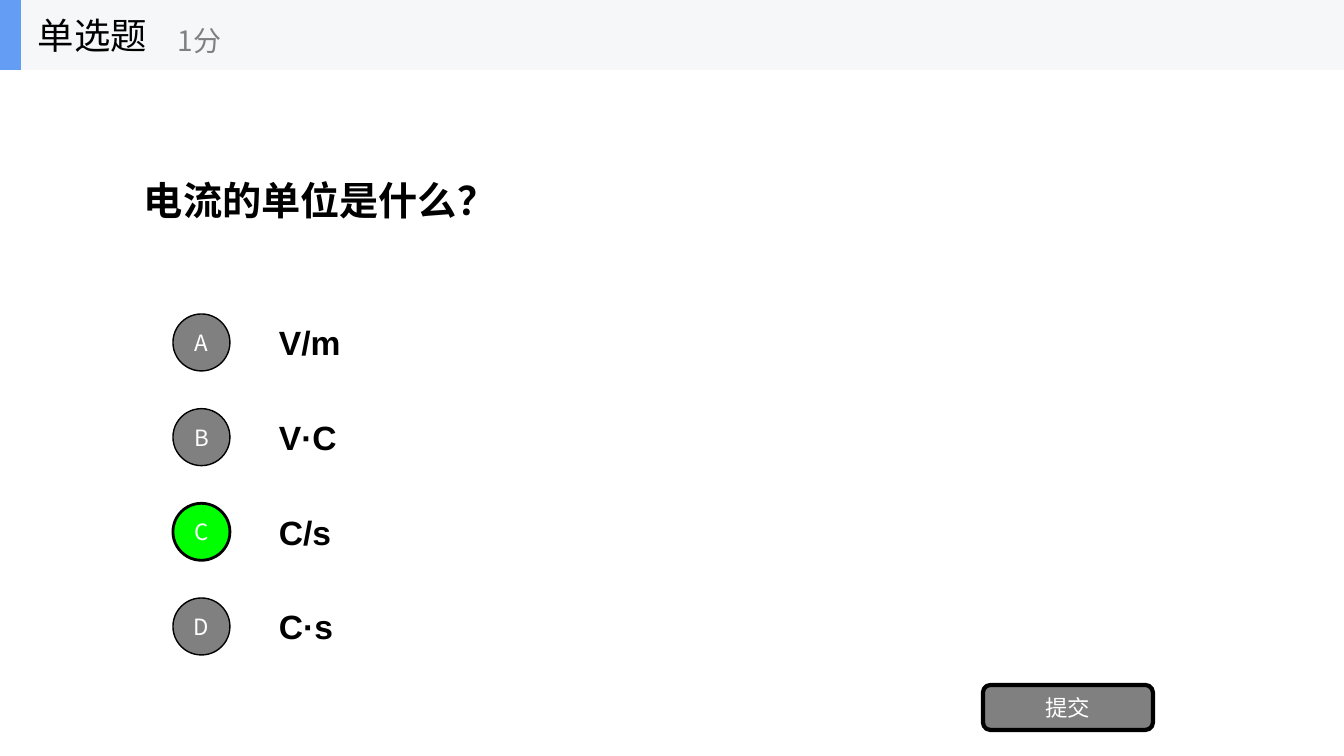
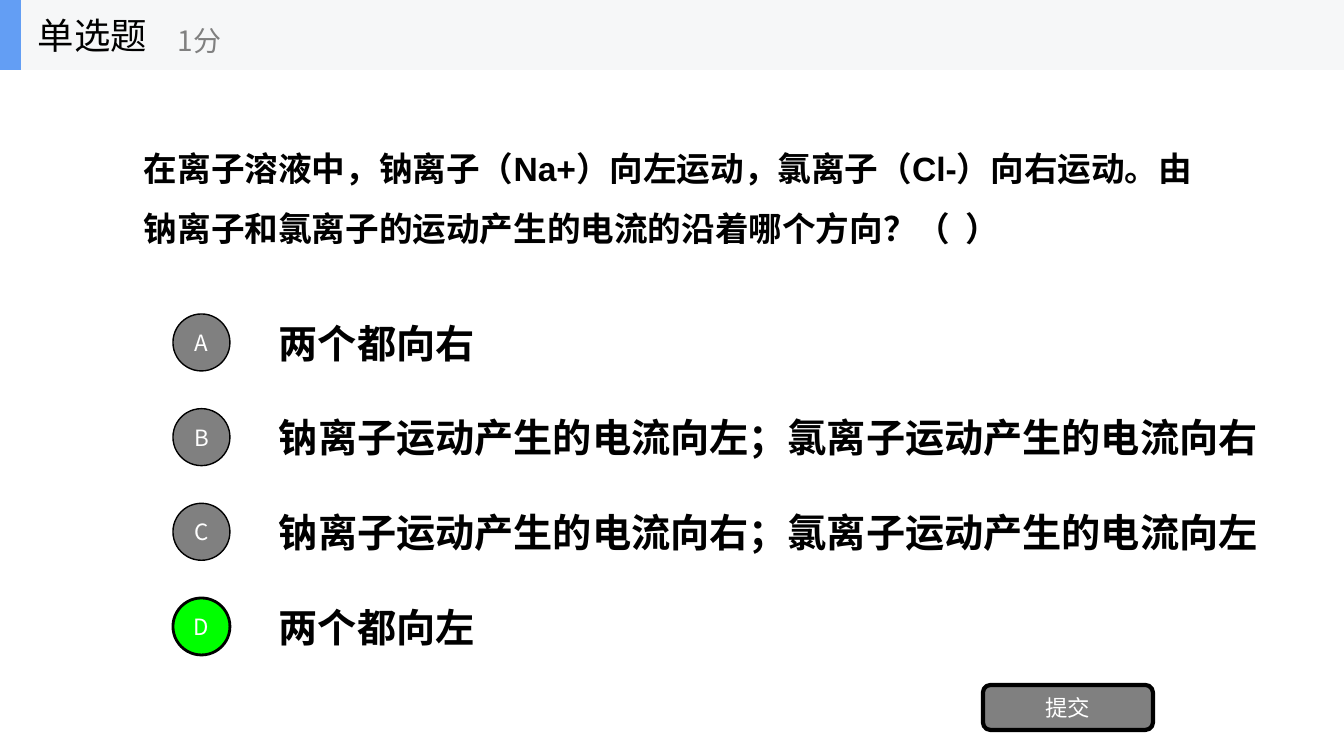
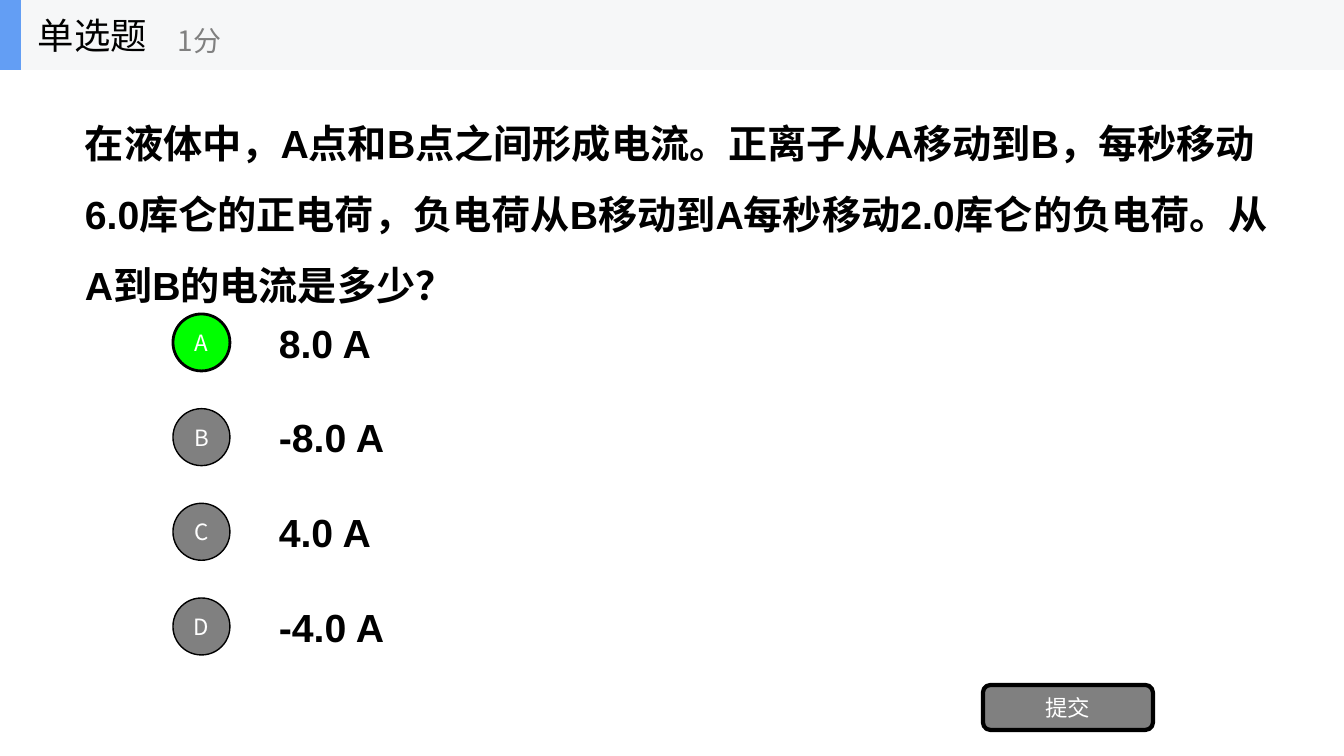
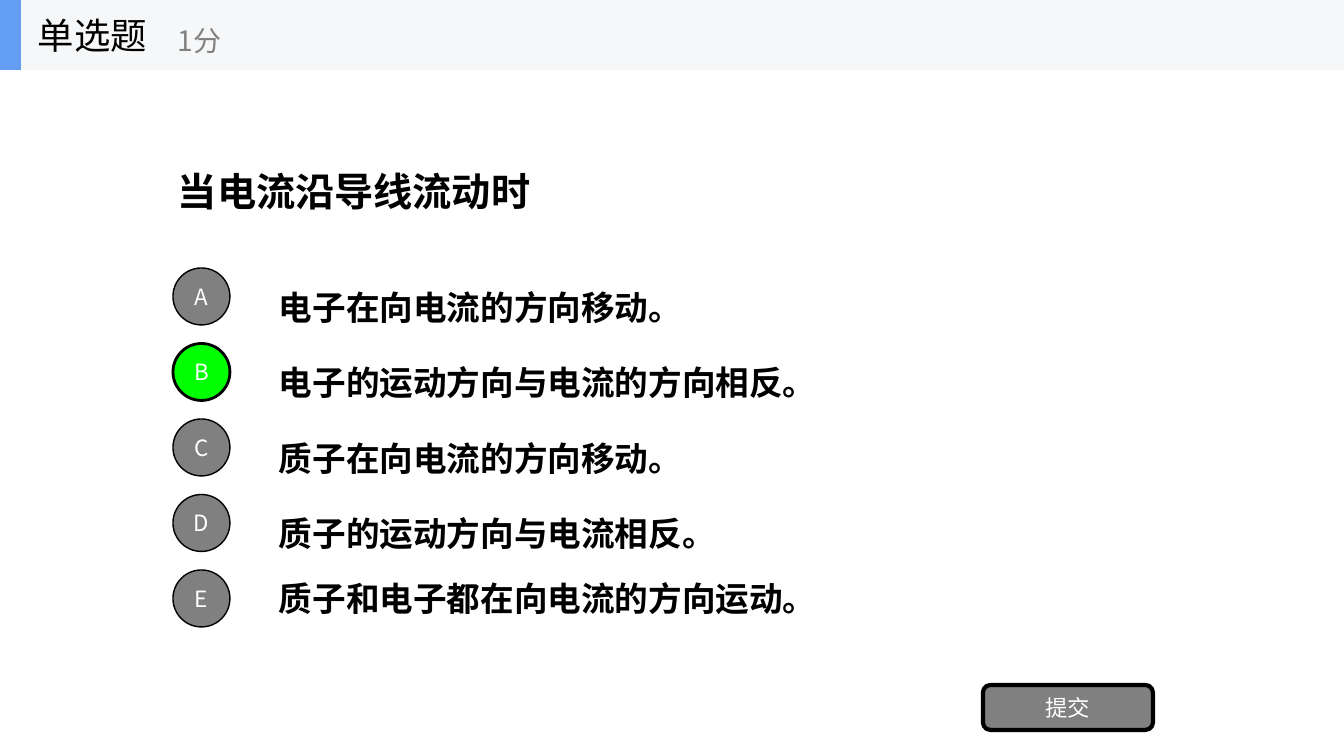
from dataclasses import dataclass

from lxml.etree import SubElement
from pptx import Presentation
from pptx.dml.color import RGBColor
from pptx.enum.shapes import MSO_SHAPE
from pptx.enum.text import MSO_ANCHOR, PP_ALIGN
from pptx.oxml.ns import qn
from pptx.util import Inches, Pt

PX = Inches(1) / 100.8
PAGE_WIDTH, PAGE_HEIGHT = 1344, 756


@dataclass(frozen=True)
class Theme:
    ink: RGBColor = RGBColor.from_string("000000")
    white: RGBColor = RGBColor.from_string("FFFFFF")
    gray: RGBColor = RGBColor.from_string("808080")
    correct: RGBColor = RGBColor.from_string("00FF00")
    band: RGBColor = RGBColor.from_string("F6F7F8")
    accent: RGBColor = RGBColor.from_string("639EF4")
    body_font: str = "Arial"
    label_font: str = "Noto Sans CJK SC"
    large: int = 28
    medium: int = 24
    heading: int = 26
    score: int = 20
    label: int = 16


THEME = Theme()


def add_block(shapes, kind, box, fill, line_width=0):
    """Add a filled preset shape; box is left, top, width, height in px."""
    block = shapes.add_shape(kind, *(round(value * PX) for value in box))
    block.shadow.inherit = False
    block.fill.solid()
    block.fill.fore_color.rgb = fill
    if line_width:
        block.line.color.rgb = THEME.ink
        block.line.width = Pt(line_width)
    else:
        block.line.fill.background()
    return block


def write(target, text, size, color, font=THEME.label_font, bold=False,
          spacing=None, centered=False):
    frame = target.text_frame
    frame.word_wrap = True
    frame.vertical_anchor = MSO_ANCHOR.MIDDLE
    if centered:
        frame.margin_left = frame.margin_right = 0
        frame.margin_top = frame.margin_bottom = 0
    frame.text = text
    para = frame.paragraphs[0]
    para.alignment = PP_ALIGN.CENTER if centered else PP_ALIGN.LEFT
    if spacing:
        para.line_spacing = spacing
    span = para.runs[0]
    span.font.name = font
    span.font.size = Pt(size)
    span.font.bold = bold
    span.font.color.rgb = color
    east_asian = SubElement(span.font._element, qn("a:ea"))
    east_asian.set("typeface", THEME.label_font)


# Each option is its text, box width in px and line spacing.
NORMAL = 941
QUESTIONS = [
    {
        "text": "电流的单位是什么？",
        "box": (134, 70, 1076, 236), "size": THEME.large,
        "options": [(text, NORMAL, None) for text in ("V/m", "V·C", "C/s", "C·s")],
        "option_size": THEME.medium, "rows": (307, 591), "answer": "C",
    },
    {
        "text": "在离子溶液中，钠离子（Na+）向左运动，氯离子（Cl-）向右运动。"
                "由钠离子和氯离子的运动产生的电流的沿着哪个方向？（  ）",
        "box": (134, 70, 1076, 236), "size": THEME.medium,
        "options": [
            ("两个都向右", NORMAL, None),
            ("钠离子运动产生的电流向左；氯离子运动产生的电流向右", 1024, None),
            ("钠离子运动产生的电流向右；氯离子运动产生的电流向左", 1012, None),
            ("两个都向左", NORMAL, None),
        ],
        "option_size": THEME.large, "rows": (307, 591), "answer": "D",
    },
    {
        "text": "在液体中，A点和B点之间形成电流。正离子从A移动到B，每秒移动6.0库仑的正电荷，"
                "负电荷从B移动到A每秒移动2.0库仑的负电荷。从A到B的电流是多少？",
        "box": (75, 84, 1210, 236), "size": THEME.large,
        "options": [(text, NORMAL, None) for text in ("8.0 A", "-8.0 A", "4.0 A", "-4.0 A")],
        "option_size": THEME.large, "rows": (307, 591), "answer": "A",
    },
    {
        "text": "当电流沿导线流动时",
        "box": (168, 61, 1076, 236), "size": THEME.large,
        "options": [
            ("电子在向电流的方向移动。", NORMAL, 1.5),
            ("电子的运动方向与电流的方向相反。", NORMAL, 1.5),
            ("质子在向电流的方向移动。", NORMAL, 1.5),
            ("质子的运动方向与电流相反。", NORMAL, 1.5),
            ("质子和电子都在向电流的方向运动。", NORMAL, None),
        ],
        "option_size": THEME.medium, "rows": (261, 563), "answer": "B",
    },
]

HEADER_TEXTS = [
    ("单选题", (28, 0, 210, 70), THEME.heading, THEME.ink),
    ("1分", (168, 12, 252, 57), THEME.score, THEME.gray),
]

deck = Presentation()
deck.slide_width = round(PAGE_WIDTH * PX)
deck.slide_height = round(PAGE_HEIGHT * PX)

for question in QUESTIONS:
    page = deck.slides.add_slide(deck.slide_layouts[6])

    prompt = page.shapes.add_textbox(*(round(value * PX) for value in question["box"]))
    write(prompt, question["text"], question["size"], THEME.ink,
          THEME.body_font, bold=True, spacing=1.5)

    first, last = question["rows"]
    pitch = (last - first) / (len(question["options"]) - 1)
    for index, (text, width, spacing) in enumerate(question["options"]):
        top = first + index * pitch
        option = page.shapes.add_textbox(
            *(round(value * PX) for value in (269, top, width, 71)))
        write(option, text, question["option_size"], THEME.ink,
              THEME.body_font, bold=True, spacing=spacing)

        letter = "ABCDE"[index]
        is_answer = letter == question["answer"]
        bubble = add_block(page.shapes, MSO_SHAPE.OVAL, (173, top + 7, 57, 57),
                           THEME.correct if is_answer else THEME.gray,
                           2 if is_answer else 1)
        write(bubble, letter, THEME.label, THEME.white, centered=True)

    button = add_block(page.shapes, MSO_SHAPE.ROUNDED_RECTANGLE,
                       (983, 685, 170, 45), THEME.gray, 3)
    write(button, "提交", THEME.label, THEME.white, centered=True)

    header = page.shapes.add_group_shape()
    add_block(header.shapes, MSO_SHAPE.RECTANGLE, (0, 0, PAGE_WIDTH, 70), THEME.band)
    add_block(header.shapes, MSO_SHAPE.RECTANGLE, (0, 0, 21, 70), THEME.accent)
    for text, box, size, color in HEADER_TEXTS:
        caption = header.shapes.add_textbox(*(round(value * PX) for value in box))
        write(caption, text, size, color)

deck.save("out.pptx")
